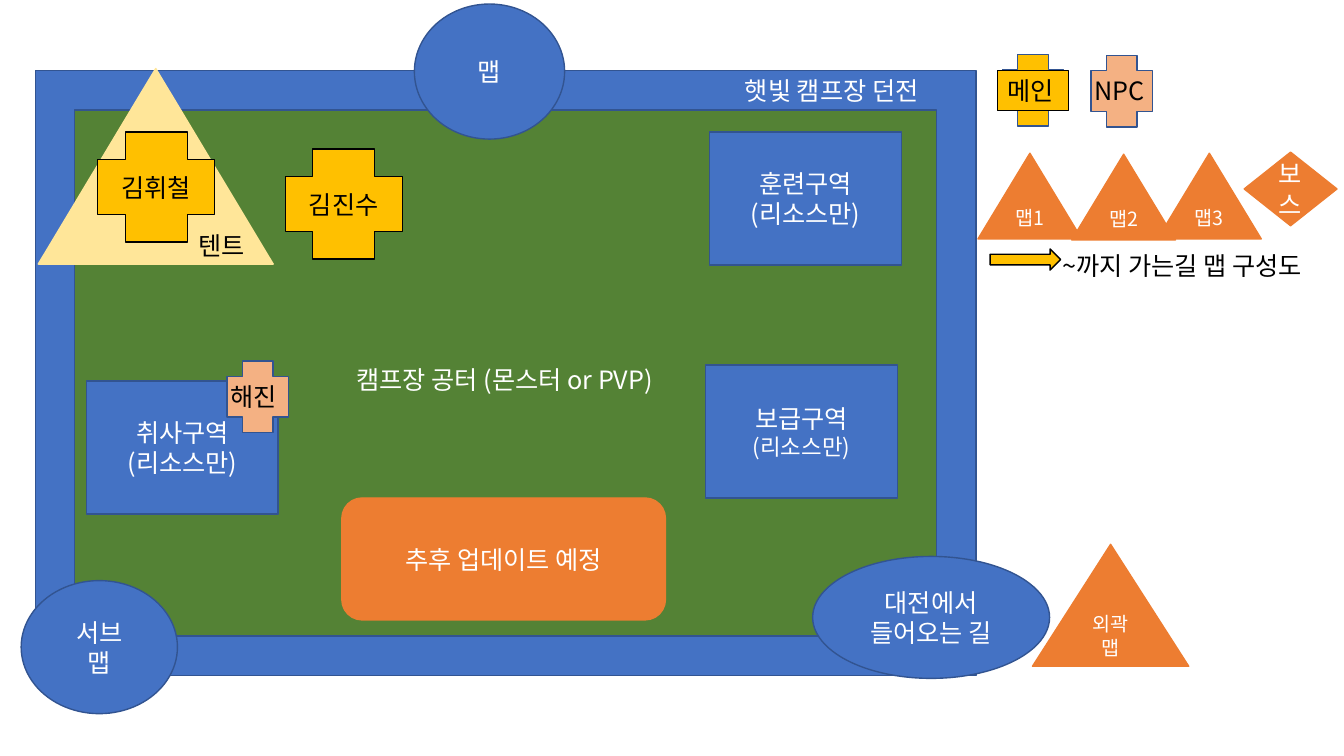
from pptx import Presentation
from pptx.dml.color import RGBColor
from pptx.enum.shapes import MSO_SHAPE
from pptx.enum.text import MSO_ANCHOR, MSO_AUTO_SIZE, PP_ALIGN
from pptx.oxml.ns import qn
from pptx.util import Inches, Pt
from lxml.etree import SubElement

BLUE, NAVY, GREEN, ORANGE = "4472C4", "325491", "548235", "ED7D31"
GOLD, PEACH, CREAM = "FFC000", "F4B183", "FFE699"
BLACK, WHITE = "000000", "FFFFFF"


def color(value):
    """Turn a hex string into a colour."""
    return RGBColor.from_string(value)


class MapSlide:
    """Hold the text style and the slide that receives the elements."""

    def __init__(self, slide, font="Noto Sans CJK KR", size=18):
        """Keep the slide, the font and the usual text size."""
        self.slide = slide
        self.font = font
        self.size = size

    def add_lines(self, frame, lines, ink, align, sizes=None):
        """Add one paragraph for each line."""
        sizes = sizes or [self.size] * len(lines)
        for index, (line, size) in enumerate(zip(lines, sizes)):
            para = frame.paragraphs[0] if index == 0 else frame.add_paragraph()
            para.alignment = align
            span = para.add_run()
            span.text = line
            span.font.name = self.font
            span.font.size = Pt(size)
            span.font.color.rgb = color(ink)
            SubElement(span.font._element, qn("a:ea")).set("typeface", self.font)

    def shape(self, kind, place, fill, line, lines=(), ink=WHITE, sizes=None, width=1):
        """Draw a filled preset shape with centred text."""
        box = self.slide.shapes.add_shape(kind, *map(Inches, place))
        box.shadow.inherit = False
        box.fill.solid()
        box.fill.fore_color.rgb = color(fill)
        box.line.color.rgb = color(line)
        box.line.width = Pt(width)
        frame = box.text_frame
        frame.word_wrap = True
        frame.vertical_anchor = MSO_ANCHOR.MIDDLE
        self.add_lines(frame, lines, ink, PP_ALIGN.CENTER, sizes)
        return box

    def fit(self, box, text, ink, wrap=False):
        """Put left-aligned text in a box that grows with it."""
        frame = box.text_frame
        frame.word_wrap = wrap
        frame.auto_size = MSO_AUTO_SIZE.SHAPE_TO_FIT_TEXT
        frame.vertical_anchor = MSO_ANCHOR.TOP
        self.add_lines(frame, [text], ink, PP_ALIGN.LEFT)

    def label(self, place, text, ink=BLACK, wrap=False):
        """Add a plain text box."""
        self.fit(self.slide.shapes.add_textbox(*map(Inches, place)), text, ink, wrap)

    def marker(self, left, top, fill):
        """Draw a small cross that marks a character."""
        self.shape(MSO_SHAPE.CROSS, (left, top, 0.61, 0.71), fill, NAVY)

    def hero(self, left, top, name):
        """Draw a large cross with a main character's name."""
        self.shape(MSO_SHAPE.CROSS, (left, top, 1.16, 1.09), GOLD, BLACK, [name], BLACK)


def draw_camp(page):
    """Draw the camp ground, its frame and its zones."""
    page.shape(MSO_SHAPE.RECTANGLE, (0.71, 1.1, 8.59, 5.32), GREEN, GREEN,
               ["캠프장 공터 (몬스터 or PVP)"])
    border = page.shape(MSO_SHAPE.FRAME, (0.35, 0.7, 9.33, 6), BLUE, NAVY)
    border.adjustments[0] = 0.065
    page.label((7.29, 0.7, 2.15, 0.4), "햇빛 캠프장 던전", WHITE)
    page.shape(MSO_SHAPE.OVAL, (8.06, 5.52, 2.35, 1.21), BLUE, NAVY,
               ["대전에서", "들어오는 길"])
    zones = [(0.86, 3.78, "취사구역", 18), (7.04, 1.31, "훈련구역", 18),
             (7, 3.62, "보급구역", 16)]
    for left, top, name, note_size in zones:
        page.shape(MSO_SHAPE.RECTANGLE, (left, top, 1.9, 1.32), BLUE, NAVY,
                   [name, "(리소스만)"], sizes=[18, note_size])


def draw_outer_maps(page):
    """Draw the maps outside the camp and the boss."""
    outer_maps = [("맵1", (9.7, 1.52, 1.03, 0.85)), ("맵2", (10.63, 1.53, 1.03, 0.85)),
                  ("맵3", (11.48, 1.52, 1.03, 0.85)), ("외곽 맵", (10.24, 5.4, 1.55, 1.21))]
    for name, place in outer_maps:
        page.shape(MSO_SHAPE.ISOSCELES_TRIANGLE, place, ORANGE, ORANGE, [name], sizes=[14])
    page.shape(MSO_SHAPE.DIAMOND, (12.34, 1.51, 0.92, 0.73), ORANGE, ORANGE, ["보스"])


def draw_legend(page):
    """Draw the character markers and the route note."""
    page.marker(2.25, 3.58, PEACH)
    page.label((2.19, 3.73, 0.71, 0.4), "해진")
    page.marker(9.94, 0.54, GOLD)
    main_tag = page.shape(MSO_SHAPE.RECTANGLE, (9.89, 0.7, 0.71, 0.4), GOLD, BLACK, width=0.75)
    page.fit(main_tag, "메인", BLACK)
    page.marker(10.82, 0.55, PEACH)
    page.label((10.76, 0.7, 0.7, 0.4), "NPC")
    page.shape(MSO_SHAPE.RIGHT_ARROW, (9.82, 2.47, 0.7, 0.21), GOLD, BLACK)
    page.label((10.44, 2.43, 2.92, 0.4), "~까지 가는길 맵 구성도")


def draw_places(page):
    """Draw the map circles, the tent, the heroes and the future area."""
    page.shape(MSO_SHAPE.OVAL, (0.21, 5.76, 1.55, 1.32), BLUE, NAVY, ["서브", "맵"])
    page.shape(MSO_SHAPE.OVAL, (4.11, 0.04, 1.49, 1.34), BLUE, NAVY, ["맵"])
    page.hero(2.83, 1.48, "김진수")
    page.shape(MSO_SHAPE.ISOSCELES_TRIANGLE, (0.38, 0.68, 2.33, 1.94), CREAM, CREAM)
    page.hero(0.97, 1.31, "김휘철")
    page.label((1.87, 2.24, 0.78, 0.4), "텐트", wrap=True)
    page.shape(MSO_SHAPE.ROUNDED_RECTANGLE, (3.39, 4.94, 3.21, 1.21), ORANGE, ORANGE,
               ["추후 업데이트 예정"])


def main():
    """Build the camp map deck."""
    deck = Presentation()
    deck.slide_width = Inches(13.33)
    deck.slide_height = Inches(7.5)
    page = MapSlide(deck.slides.add_slide(deck.slide_layouts[6]))
    draw_camp(page)
    draw_outer_maps(page)
    draw_legend(page)
    draw_places(page)
    deck.save("out.pptx")


if __name__ == "__main__":
    main()
